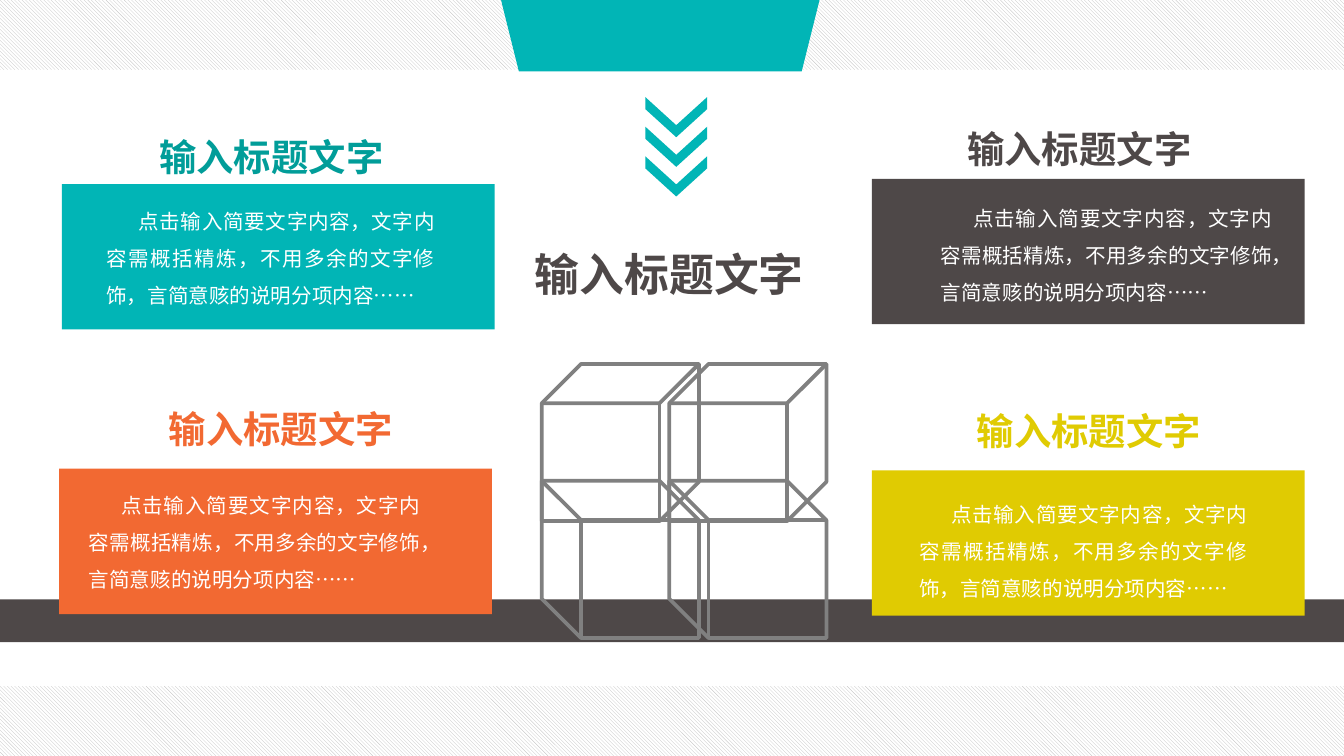
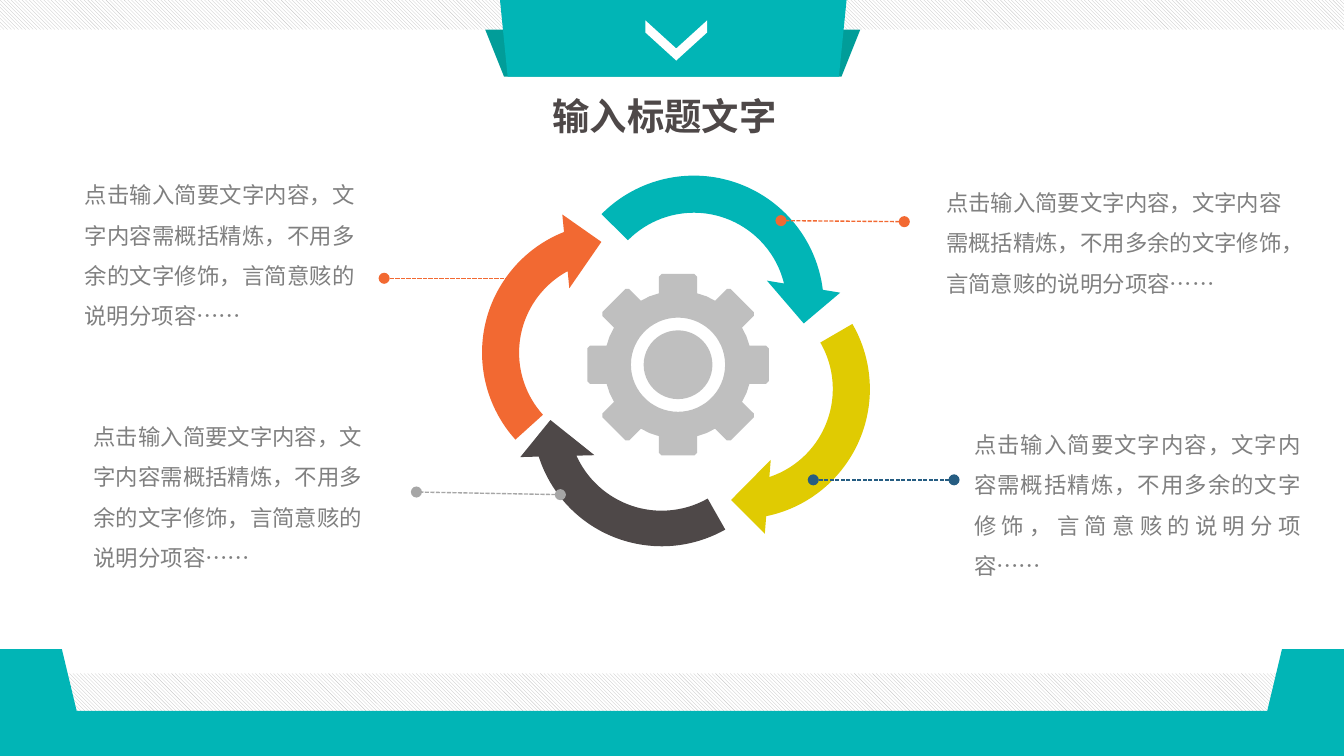
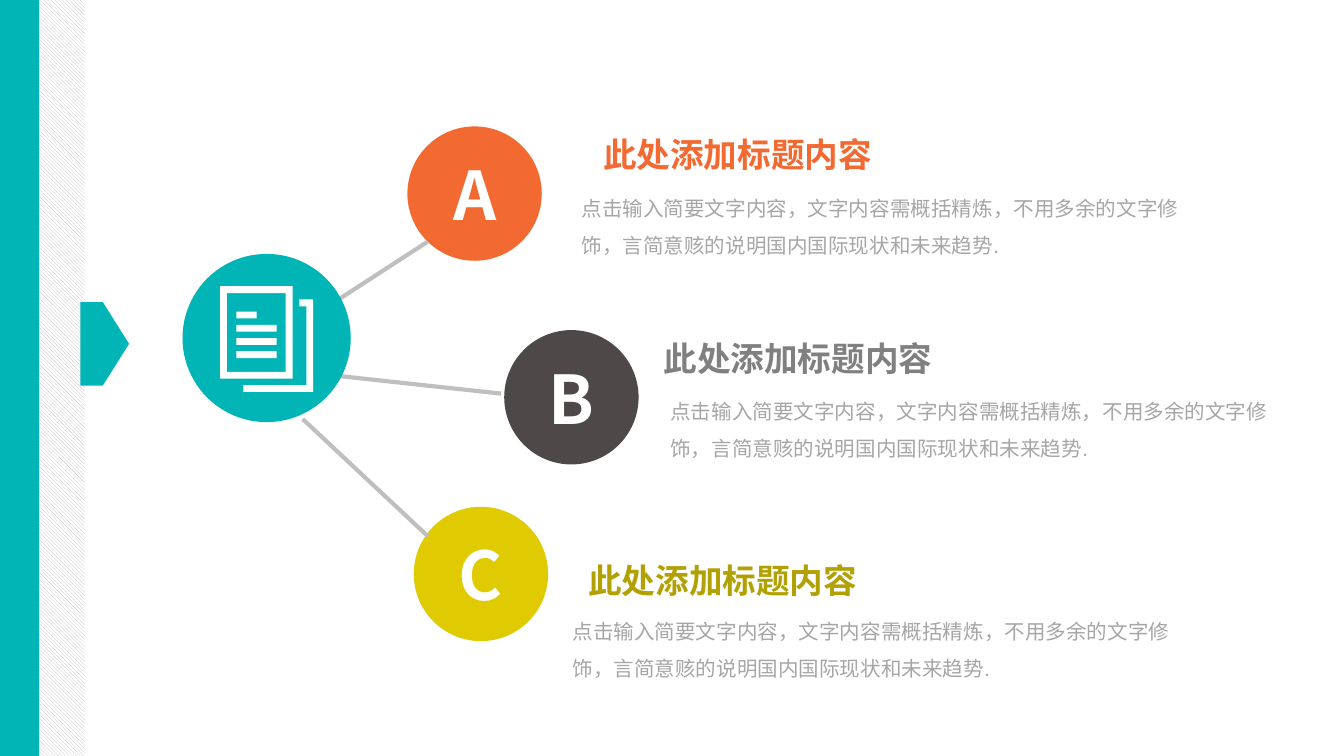
from dataclasses import dataclass
from math import cos, pi, sin
from typing import NamedTuple

from lxml import etree
from pptx import Presentation
from pptx.dml.color import RGBColor
from pptx.enum.dml import MSO_LINE, MSO_PATTERN
from pptx.enum.shapes import MSO_CONNECTOR, MSO_SHAPE
from pptx.enum.text import MSO_ANCHOR, MSO_AUTO_SIZE, PP_ALIGN
from pptx.oxml.ns import qn
from pptx.util import Cm, Pt

RECT, OVAL, CUBE = MSO_SHAPE.RECTANGLE, MSO_SHAPE.OVAL, MSO_SHAPE.CUBE
TRAPEZOID, CHEVRON = MSO_SHAPE.TRAPEZOID, MSO_SHAPE.CHEVRON
PENTAGON, CIRCULAR_ARROW = MSO_SHAPE.PENTAGON, MSO_SHAPE.CIRCULAR_ARROW
HATCH = MSO_PATTERN.LIGHT_DOWNWARD_DIAGONAL
DASH, STRAIGHT = MSO_LINE.SQUARE_DOT, MSO_CONNECTOR.STRAIGHT
LEFT, CENTER, JUSTIFY = PP_ALIGN.LEFT, PP_ALIGN.CENTER, PP_ALIGN.JUSTIFY
TOP, MIDDLE = MSO_ANCHOR.TOP, MSO_ANCHOR.MIDDLE
GROW = MSO_AUTO_SIZE.SHAPE_TO_FIT_TEXT

WIDTH, HEIGHT = 25.4, 14.29
HEADING = "输入标题文字"
CARD_TEXT = "点击输入简要文字内容，文字内容需概括精炼，不用多余的文字修饰，言简意赅的说明分项内容……"
STEP_TEXT = "点击输入简要文字内容，文字内容需概括精炼，不用多余的文字修饰，言简意赅的说明分项容……"
TOPIC_HEADING = "此处添加标题内容"
TOPIC_TEXT = "点击输入简要文字内容，文字内容需概括精炼，不用多余的文字修饰，言简意赅的说明国内国际现状和未来趋势."


@dataclass(frozen=True)
class Theme:
    teal: str = "01B5B6"
    deep_teal: str = "019D99"
    orange: str = "F26932"
    yellow: str = "E0CB02"
    olive: str = "B2A102"
    dark: str = "4E4848"
    navy: str = "265D82"
    gray: str = "808080"
    mid_gray: str = "A6A6A6"
    light_gray: str = "BFBFBF"
    white: str = "FFFFFF"
    font: str = "Noto Sans CJK SC"
    latin_font: str = "Calibri"
    letter: int = 36
    main_title: int = 24
    title: int = 20
    topic_title: int = 18
    step: int = 12
    body: int = 11


THEME = Theme()


class Box(NamedTuple):
    """A region in centimetres."""
    x: float
    y: float
    w: float
    h: float

    def inner(self, dx, dy, w, h):
        return Box(self.x + dx, self.y + dy, w, h)

    def lengths(self):
        return [Cm(side) for side in self]


def rgb(color):
    return RGBColor.from_string(color)


def paint(shape, color):
    shape.shadow.inherit = False
    shape.fill.solid()
    shape.fill.fore_color.rgb = rgb(color)
    shape.line.fill.background()
    return shape


def add_block(shapes, kind, box, color, adjust=None, rotation=0, flip=None):
    """Add a filled preset shape; adjust maps an adjustment index to its value."""
    block = paint(shapes.add_shape(kind, *box.lengths()), color)
    for index, amount in (adjust or {}).items():
        block.adjustments[index] = amount
    block.rotation = rotation
    if flip:
        block.element.spPr.get_or_add_xfrm().set(flip, "1")
    return block


def add_hatching(shapes, box):
    fill = add_block(shapes, RECT, box, THEME.white).fill
    fill.patterned()
    fill.pattern = HATCH
    fill.fore_color.rgb = rgb(THEME.light_gray)
    fill.back_color.rgb = rgb(THEME.white)


def add_outline(shapes, box, contours, color):
    """Fill closed contours whose points are relative to the box."""
    placed = [[(Cm(box.x + x), Cm(box.y + y)) for x, y in contour] for contour in contours]
    builder = shapes.build_freeform(*placed[0][0])
    for number, contour in enumerate(placed):
        if number:
            builder.move_to(*contour[0])
        builder.add_line_segments(contour[1:], close=True)
    paint(builder.convert_to_shape(), color)


def write(frame, text, size, color, bold=False, align=LEFT, spacing=None,
          indent=0, font=THEME.font):
    paragraph = frame.paragraphs[0]
    paragraph.alignment = align
    paragraph.line_spacing = spacing
    if indent:
        paragraph._p.get_or_add_pPr().set("indent", str(int(Cm(indent))))
    run = paragraph.add_run()
    run.text = text
    run.font.size = Pt(size)
    run.font.bold = bold
    run.font.color.rgb = rgb(color)
    run.font.name = font
    etree.SubElement(run.font._element, qn("a:ea")).set("typeface", THEME.font)


def add_text(shapes, box, text, size, color, inset=True, grow=True, anchor=TOP, **style):
    frame = shapes.add_textbox(*box.lengths()).text_frame
    frame.word_wrap = True
    frame.vertical_anchor = anchor
    if grow:
        frame.auto_size = GROW
    if not inset:
        frame.margin_left = frame.margin_right = frame.margin_top = frame.margin_bottom = 0
    write(frame, text, size, color, **style)


def add_line(shapes, start, end, color, width, dotted_ends=False):
    line = shapes.add_connector(STRAIGHT, *[Cm(place) for place in (*start, *end)])
    line.line.color.rgb = rgb(color)
    line.line.width = Pt(width)
    properties = line.element.spPr
    if dotted_ends:
        line.line.dash_style = DASH
        for end_tag in ("a:headEnd", "a:tailEnd"):
            etree.SubElement(properties.find(qn("a:ln")), qn(end_tag)).set("type", "oval")
    etree.SubElement(properties, qn("a:effectLst"))


def add_down_chevron(shapes, box, color):
    add_block(shapes, CHEVRON, box, color, {0: 0.7}, rotation=90)


def add_cubes(shapes, box):
    """Draw two by two wire cubes, the lower row mirrored."""
    for row, column in ((1, 1), (1, 0), (0, 0), (0, 1)):
        cube = add_block(shapes, CUBE, box.inner(2.41 * column, 2.21 * row, 2.97, 2.97),
                         THEME.white, flip="flipH" if row else None)
        cube.fill.background()
        cube.line.color.rgb = rgb(THEME.gray)
        cube.line.width = Pt(2)


def add_card(shapes, box, color, title_color, title_offset, text_offset, text_width):
    add_text(shapes, box.inner(*title_offset, 4.78, 0.86), HEADING, THEME.title,
             title_color, inset=False, bold=True, align=CENTER)
    card = shapes.add_group_shape().shapes
    add_block(card, RECT, box, color)
    add_text(card, box.inner(*text_offset, text_width, 2.11), CARD_TEXT, THEME.body,
             THEME.white, inset=False, align=JUSTIFY, spacing=1.5, indent=0.61)


def build_cards_slide(shapes):
    add_block(shapes, RECT, Box(0, 11.33, WIDTH, 0.81), THEME.dark)
    add_cubes(shapes, Box(10.24, 6.88, 5.38, 5.18))
    cards = [
        ((1.17, 3.48), THEME.teal, THEME.deep_teal, (1.57, -0.94), (0.84, 0.23), 6.21),
        ((16.48, 3.38), THEME.dark, THEME.dark, (1.53, -0.99), (1.3, 0.28), 6.26),
        ((16.48, 8.89), THEME.yellow, THEME.yellow, (1.71, -1.17), (0.89, 0.36), 6.21),
        ((1.12, 8.86), THEME.orange, THEME.orange, (1.8, -1.19), (0.56, 0.23), 6.27),
    ]
    for corner, *details in cards:
        add_card(shapes, Box(*corner, 8.18, 2.75), *details)
    add_text(shapes, Box(9.86, 4.47, 6.12, 1.42), HEADING, THEME.main_title, THEME.dark,
             grow=False, anchor=MIDDLE, bold=True, align=JUSTIFY)
    for top in (0, 12.97):
        add_hatching(shapes, Box(0, top, WIDTH, 1.32))
    add_block(shapes, TRAPEZOID, Box(9.47, 0, 6.02, 1.35), THEME.teal, flip="flipV")
    for step in range(3):
        add_down_chevron(shapes, Box(12.4, 1.63 + 0.56 * step, 0.76, 1.17), THEME.teal)


def add_gear(shapes, box):
    """Draw eight teeth around a ring, with a disc in the middle."""
    gear = shapes.add_group_shape().shapes
    middle = box.w / 2
    root, tip, half_tooth, bevel = 1.35, middle, 0.36, 0.05
    tooth = [(root, -half_tooth), (tip - bevel, -half_tooth), (tip, bevel - half_tooth),
             (tip, half_tooth - bevel), (tip - bevel, half_tooth), (root, half_tooth),
             (1.4 * cos(pi / 8), 1.4 * sin(pi / 8))]
    rim = [(middle + x * cos(turn) - y * sin(turn), middle + x * sin(turn) + y * cos(turn))
           for turn in (pi / 4 * number for number in range(8)) for x, y in tooth]
    hole = [(middle + 0.89 * cos(pi / 30 * tick), middle - 0.89 * sin(pi / 30 * tick))
            for tick in range(60)]
    add_outline(gear, box, [rim, hole], THEME.light_gray)
    disc = 1.3
    offset = (box.w - disc) / 2
    add_block(gear, OVAL, box.inner(offset, offset, disc, disc), THEME.light_gray)


def add_ring_of_arrows(shapes, box):
    arrows = [
        ((1.55, 0), 9.3, THEME.teal, {3: 129.23}),
        ((2.42, 1.58), 94.6, THEME.yellow, {3: 141.18}),
        ((0.94, 2.11), 215.5, THEME.dark, {0: 0.12, 2: 182.41, 3: 123.01}),
        ((0, 0.89), 264.6, THEME.orange, {3: 140.03}),
    ]
    for offset, rotation, color, adjust in arrows:
        add_block(shapes, CIRCULAR_ARROW, box.inner(*offset, 5.61, 5.61), color,
                  adjust, rotation)


def add_ribbon(shapes, box):
    add_hatching(shapes, box.inner(0, 0, box.w, 0.56))
    add_block(shapes, TRAPEZOID, box.inner(9.17, 0.56, 7.09, 0.89), THEME.deep_teal,
              {0: 0.4}, flip="flipV")
    add_block(shapes, TRAPEZOID, box.inner(9.45, 0, 6.55, 1.45), THEME.teal,
              {0: 0.1}, flip="flipV")
    add_down_chevron(shapes, box.inner(12.4, 0.18, 0.76, 1.17), THEME.white)


def add_tray(shapes, box):
    """Draw the footer: a hatched band held by a raised edge at both sides."""
    tray = shapes.add_group_shape().shapes
    add_hatching(tray, box.inner(0, 0.46, box.w, 1.32))
    left_edge = [(0, box.h), (0, 0), (1.17, 0), (1.45, 1.17)]
    right_edge = [(box.w - x, y) for x, y in reversed(left_edge)]
    add_outline(tray, box, [left_edge + right_edge], THEME.teal)


def build_cycle_slide(shapes):
    add_ring_of_arrows(shapes, Box(8.76, 2.97, 8.03, 7.72))
    callouts = [
        ((9.93, 5.26), (7.26, 5.26), THEME.orange, Box(1.35, 3.05, 5.61, 3.76), JUSTIFY),
        ((10.59, 9.35), (7.87, 9.3), THEME.mid_gray, Box(1.52, 7.62, 5.61, 3.33), LEFT),
        ((18.03, 9.07), (15.37, 9.07), THEME.navy, Box(18.16, 7.77, 6.68, 3.33), JUSTIFY),
        ((17.09, 4.19), (14.76, 4.17), THEME.orange, Box(17.63, 3.2, 6.87, 2.57), LEFT),
    ]
    for start, end, color, box, align in callouts:
        add_line(shapes, start, end, color, 0.75, dotted_ends=True)
        add_text(shapes, box, STEP_TEXT, THEME.step, THEME.gray, align=align, spacing=1.5)
    add_tray(shapes, Box(0, 12.27, WIDTH, 2.02))
    add_ribbon(shapes, Box(0, 0, WIDTH, 1.45))
    add_text(shapes, Box(10.19, 1.63, 5.08, 1.12), HEADING, THEME.title, THEME.dark,
             bold=True, align=JUSTIFY)
    add_gear(shapes, Box(11.1, 5.18, 3.43, 3.43))


def add_topic(shapes, box, letter, color, title_color, title_offset, text_offset):
    node = add_block(shapes, OVAL, box, color).text_frame
    node.vertical_anchor = MIDDLE
    write(node, letter, THEME.letter, THEME.white, bold=True, align=CENTER)
    add_text(shapes, box.inner(*text_offset, 11.91, 1.57), TOPIC_TEXT, THEME.body,
             THEME.mid_gray, spacing=1.5, font=THEME.latin_font)
    add_text(shapes, box.inner(*title_offset, 6.05, 1.27), TOPIC_HEADING,
             THEME.topic_title, title_color, bold=True, align=JUSTIFY, spacing=1.5)


def add_document_hub(shapes, box):
    hub = shapes.add_group_shape().shapes
    add_block(hub, OVAL, box, THEME.teal)
    wall, page_w, page_h = 0.13, 1.37, 1.75
    page = [(0, 0), (page_w, 0), (page_w, page_h), (0, page_h)]
    window = [(wall, wall), (wall, page_h - wall),
              (page_w - wall, page_h - wall), (page_w - wall, wall)]
    add_outline(hub, box.inner(0.71, 0.61, page_w, page_h), [page, window], THEME.white)
    for row, length in enumerate((0.38, 0.76, 0.76, 0.76)):
        add_block(hub, RECT, box.inner(1.02, 1.09 + 0.25 * row, length, wall), THEME.white)
    sheet_w, sheet_h = 1.32, 1.75
    sheet = [(sheet_w, sheet_h), (0, sheet_h), (0, sheet_h - wall),
             (sheet_w - wall, sheet_h - wall), (sheet_w - wall, wall),
             (sheet_w - 2 * wall, wall), (sheet_w - 2 * wall, 0), (sheet_w, 0)]
    add_outline(hub, box.inner(1.15, 0.86, sheet_w, sheet_h), [sheet], THEME.white)


def add_side_band(shapes, box):
    add_hatching(shapes, box)
    add_block(shapes, RECT, box.inner(0, 0, 0.74, box.h), THEME.teal)
    add_block(shapes, PENTAGON, box.inner(1.52, 5.71, 0.92, 1.58), THEME.teal, {0: 0.54})


def build_topics_slide(shapes):
    topics = [
        ((7.7, 2.39), "A", THEME.orange, THEME.orange, (3.45, -0.36), (3.04, 0.96)),
        ((9.53, 6.24), "B", THEME.dark, THEME.gray, (2.76, -0.35), (2.89, 0.95)),
        ((7.82, 9.58), "C", THEME.yellow, THEME.olive, (3.05, 0.5), (2.75, 1.77)),
    ]
    for corner, *details in topics:
        add_topic(shapes, Box(*corner, 2.54, 2.54), *details)
    spokes = [((6.43, 5.64), (8.08, 4.57)), ((6.43, 7.11), (9.47, 7.44)),
              ((5.72, 7.92), (8.08, 10.13))]
    for start, end in spokes:
        add_line(shapes, start, end, THEME.light_gray, 2.25)
    add_document_hub(shapes, Box(3.45, 4.8, 3.18, 3.18))
    add_side_band(shapes, Box(0, 0, 1.6, HEIGHT))


def main():
    deck = Presentation()
    deck.slide_width, deck.slide_height = Cm(WIDTH), Cm(HEIGHT)
    blank = deck.slide_layouts[6]
    for build in (build_cards_slide, build_cycle_slide, build_topics_slide):
        build(deck.slides.add_slide(blank).shapes)
    deck.save("out.pptx")


if __name__ == "__main__":
    main()
